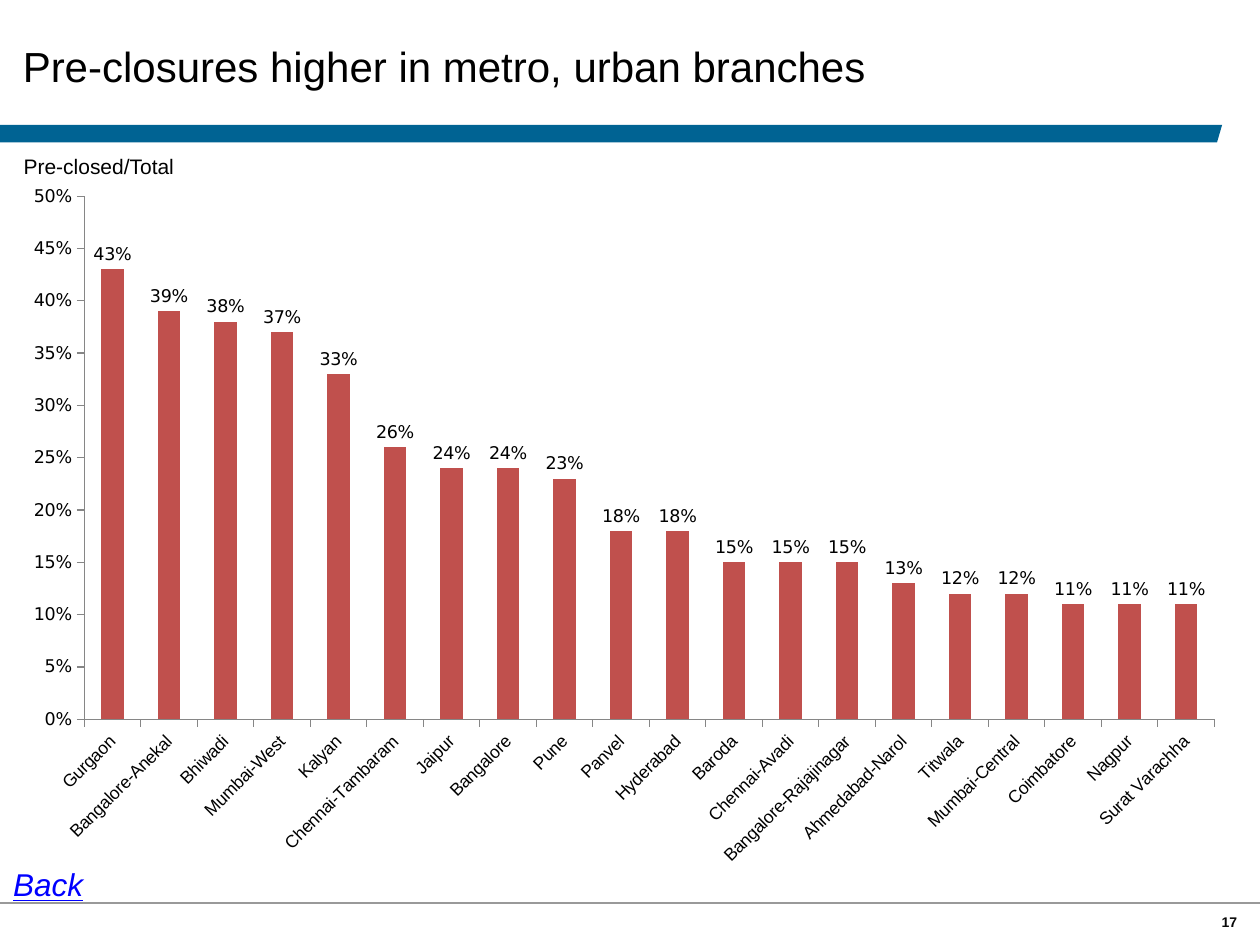
from dataclasses import dataclass

from lxml.etree import SubElement
from pptx import Presentation
from pptx.chart.data import CategoryChartData
from pptx.dml.color import RGBColor
from pptx.enum.chart import XL_CHART_TYPE as CT, XL_LABEL_POSITION as LP, XL_TICK_MARK as TM
from pptx.enum.shapes import MSO_CONNECTOR as MC
from pptx.enum.text import MSO_ANCHOR as MA, PP_ALIGN as AL
from pptx.oxml import parse_xml
from pptx.oxml.ns import nsdecls, qn
from pptx.util import Pt

FONT = "Arial"
BRANCHES = [
    ("Gurgaon", 43), ("Bangalore-Anekal", 39), ("Bhiwadi", 38), ("Mumbai-West", 37),
    ("Kalyan", 33), ("Chennai-Tambaram", 26), ("Jaipur", 24), ("Bangalore", 24),
    ("Pune", 23), ("Panvel", 18), ("Hyderabad", 18), ("Baroda", 15),
    ("Chennai-Avadi", 15), ("Bangalore-Rajajinagar", 15), ("Ahmedabad-Narol", 13),
    ("Titwala", 12), ("Mumbai-Central", 12), ("Coimbatore", 11), ("Nagpur", 11),
    ("Surat Varachha", 11),
]


@dataclass
class Label:
    text: str
    box: tuple[float, float, float, float]
    size: float
    color: str = "000000"
    insets: tuple[float, float, float, float] = (0, 0, 0, 0)
    anchor: MA = MA.TOP
    align: AL = AL.LEFT
    wrap: bool = True
    bold: bool = False
    italic: bool = False
    underline: bool = False


LABELS = [
    Label("17", (690.5, 523.5, 24, 6.5), 8, "080808", anchor=MA.MIDDLE, align=AL.CENTER,
          wrap=False, bold=True),
    Label("Pre-closures higher in metro, urban branches", (13, 4.5, 683, 65.5), 24,
          insets=(0, 0, 5, 0), anchor=MA.MIDDLE),
    Label("Pre-closed/Total", (10.5, 85, 101, 20), 12, insets=(3, 3, 3, 3)),
    Label("Back", (0.5, 491, 55, 29), 18, "0000FF", insets=(7.2, 3.6, 7.2, 3.6),
          wrap=False, italic=True, underline=True),
]


def rgb(value: str) -> RGBColor:
    """Turn a hex string into a colour."""
    return RGBColor.from_string(value)


def add_label(s, label: Label) -> None:
    """Draw one text box."""
    tf = s.shapes.add_textbox(*map(Pt, label.box)).text_frame
    tf.word_wrap = label.wrap
    tf.vertical_anchor = label.anchor
    tf.margin_left, tf.margin_top, tf.margin_right, tf.margin_bottom = map(Pt, label.insets)
    p = tf.paragraphs[0]
    p.text = label.text
    p.alignment = label.align
    f = p.font
    f.name, f.size = FONT, Pt(label.size)
    f.bold, f.italic, f.underline = label.bold, label.italic, label.underline
    f.color.rgb = rgb(label.color)


def add_band(s) -> None:
    """Draw the slanted band under the title."""
    fb = s.shapes.build_freeform(0, Pt(71.3), scale=1.0)
    corners = [(698.4, 71.3), (695.5, 81.3), (0, 81.3)]
    fb.add_line_segments([(Pt(x), Pt(y)) for x, y in corners])
    sp = fb.convert_to_shape()
    sp.shadow.inherit = False
    sp.fill.solid()
    sp.fill.fore_color.rgb = rgb("006393")
    sp.line.fill.background()


def add_rule(s) -> None:
    """Draw the footer line."""
    cx = s.shapes.add_connector(MC.STRAIGHT, 0, Pt(516), Pt(720), Pt(516))
    cx.line.color.rgb = rgb("999999")
    cx.line.width = Pt(1)
    SubElement(cx._element.spPr, qn("a:effectLst"))


def place_plot(chart, x: float, y: float, w: float, h: float) -> None:
    """Fix the inner plot area as fractions of the chart."""
    area = chart._chartSpace.chart.plotArea
    for old in area.findall(qn("c:layout")):
        area.remove(old)
    values = "".join(f'<c:{k} val="{v}"/>' for k, v in zip("xywh", (x, y, w, h)))
    area.insert(0, parse_xml(
        f'<c:layout {nsdecls("c")}><c:manualLayout><c:layoutTarget val="inner"/>'
        f'<c:xMode val="edge"/><c:yMode val="edge"/>{values}</c:manualLayout></c:layout>'))


def add_branch_chart(s) -> None:
    """Draw the column chart of pre-closure rates by branch."""
    data = CategoryChartData(number_format="0%")
    data.categories = [name for name, _ in BRANCHES]
    data.add_series("Series 1", [pct / 100 for _, pct in BRANCHES])
    box = map(Pt, (6, 100, 702, 404))
    chart = s.shapes.add_chart(CT.COLUMN_CLUSTERED, *box, data).chart
    chart.has_legend = chart.has_title = False
    chart.font.name, chart.font.size = "DejaVu Sans", Pt(10)
    chart.font.color.rgb = rgb("000000")
    place_plot(chart, 0.06, 0.03, 0.92, 0.74)

    cat, val = chart.category_axis, chart.value_axis
    for axis in (cat, val):
        axis.has_major_gridlines = False
        axis.major_tick_mark, axis.minor_tick_mark = TM.OUTSIDE, TM.NONE
        axis.format.line.color.rgb = rgb("868686")
        axis.format.line.width = Pt(0.75)
    cat.tick_labels.font.name = FONT
    cat.tick_labels.font.size = Pt(10)
    cat._element.txPr.bodyPr.set("rot", str(-45 * 60000))
    val.minimum_scale, val.maximum_scale, val.major_unit = 0, 0.5, 0.05
    val.tick_labels.number_format = "0%"
    val.tick_labels.number_format_is_linked = False

    plot = chart.plots[0]
    plot.gap_width, plot.vary_by_categories = 150, False
    fill = plot.series[0].format.fill
    fill.solid()
    fill.fore_color.rgb = rgb("C0504D")
    plot.has_data_labels = True
    labels = plot.data_labels
    labels.show_value, labels.position = True, LP.OUTSIDE_END
    labels.number_format, labels.number_format_is_linked = "0%", False


def main() -> None:
    """Build and save the slide."""
    prs = Presentation()
    prs.slide_width, prs.slide_height = Pt(720), Pt(540)
    s = prs.slides.add_slide(prs.slide_layouts[6])
    add_band(s)
    add_rule(s)
    add_branch_chart(s)
    for label in LABELS:
        add_label(s, label)
    prs.save("out.pptx")


if __name__ == "__main__":
    main()
